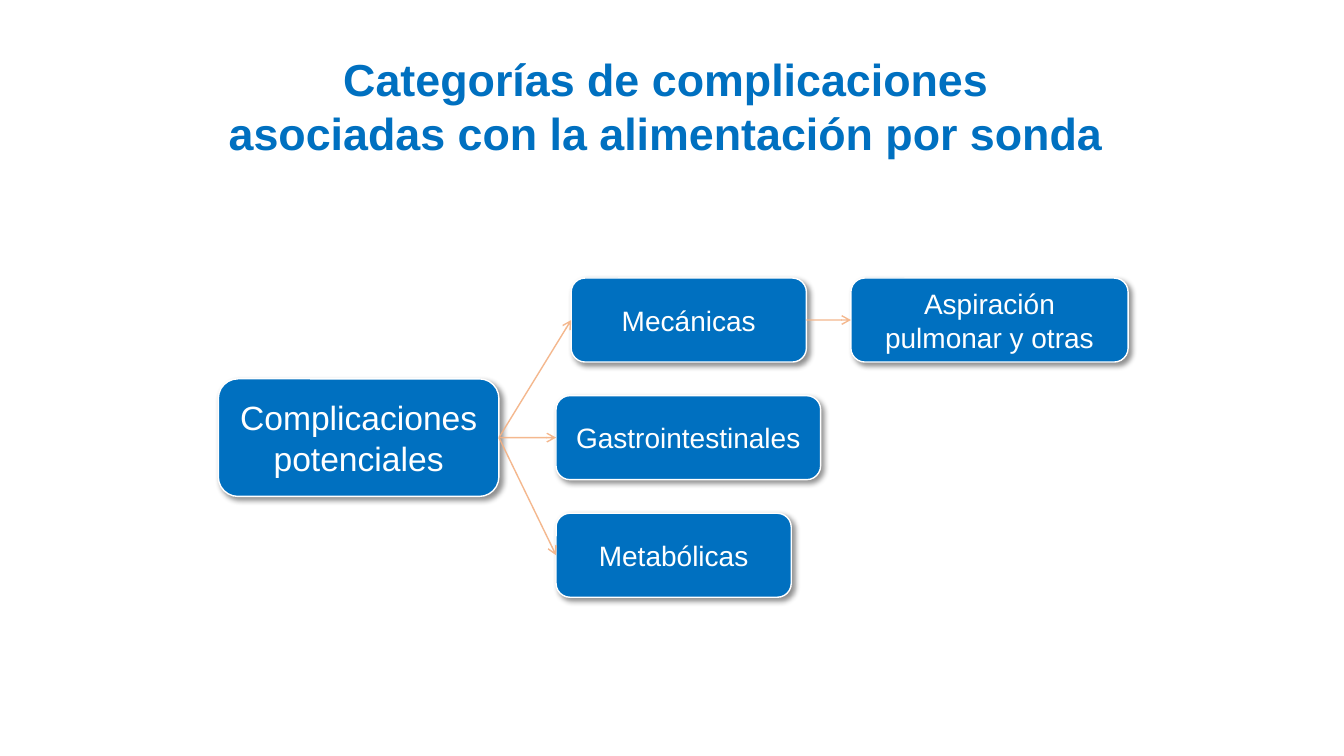
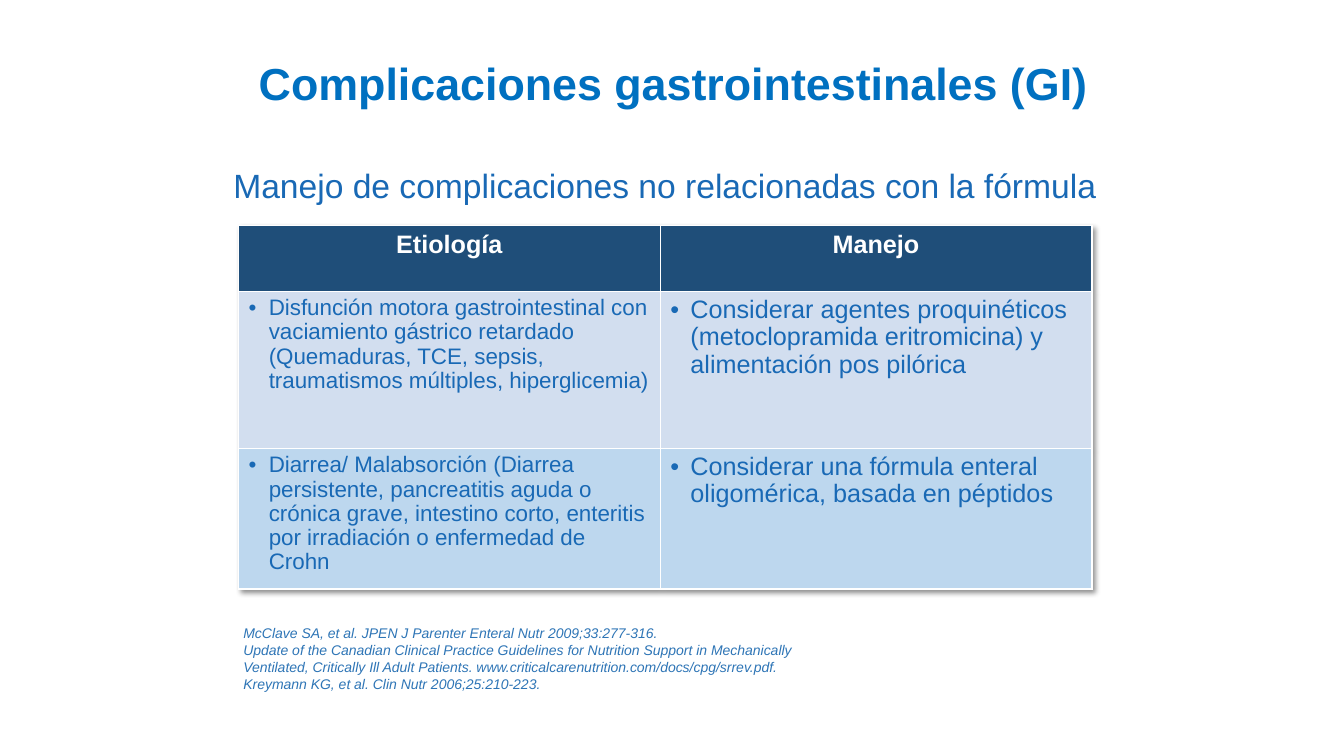
from lxml import etree
from pptx import Presentation
from pptx.dml.color import RGBColor
from pptx.enum.shapes import MSO_CONNECTOR, MSO_SHAPE
from pptx.enum.text import MSO_ANCHOR, PP_ALIGN
from pptx.oxml.ns import qn
from pptx.util import Inches, Pt

LEFT, CENTER = PP_ALIGN.LEFT, PP_ALIGN.CENTER
TOP, MIDDLE = MSO_ANCHOR.TOP, MSO_ANCHOR.MIDDLE
STRAIGHT, ROUNDED = MSO_CONNECTOR.STRAIGHT, MSO_SHAPE.ROUNDED_RECTANGLE
LEFT_SIDE, RIGHT_SIDE = 1, 3

FONT = "Arial"
WHITE, BLUE, TEXT_BLUE = "FFFFFF", "0070C0", "1969B5"
HEADER_FILL, ROW_FILLS = "1F4E79", ("D2DEEF", "BDD7EE")
ARROW_COLOR = "F4B183"
TITLE = {"size": 32, "bold": True, "color": BLUE}
SUBTITLE = {"size": 24, "color": TEXT_BLUE}
REFERENCE = {"size": 10, "italic": True, "color": "2E75B6"}
HEADER = {"size": 18, "bold": True, "color": WHITE}
CAUSE = {"size": 16, "bold": False, "color": TEXT_BLUE}
CARE = {"size": 18, "bold": False, "color": TEXT_BLUE}
MAIN_BOX = {"size": 24, "color": WHITE}
BRANCH_BOX = {"size": 20, "color": WHITE}

COLUMNS, ROWS = 160, 90
CELL = Inches(7.5) / ROWS
BRANCH_TOP, BRANCH_PITCH, BRANCH_HEIGHT = 33.1, 14, 10

REFERENCES = [
    "McClave SA, et al. JPEN J Parenter Enteral Nutr 2009;33:277-316.",
    "Update of the Canadian Clinical Practice Guidelines for Nutrition Support in Mechanically",
    "Ventilated, Critically Ill Adult Patients. www.criticalcarenutrition.com/docs/cpg/srrev.pdf.",
    "Kreymann KG, et al. Clin Nutr 2006;25:210-223.",
]
MANAGEMENT = [
    ("Etiología", "Manejo"),
    ("Disfunción motora gastrointestinal con vaciamiento gástrico retardado "
     "(Quemaduras, TCE, sepsis, traumatismos múltiples, hiperglicemia)",
     "Considerar agentes proquinéticos (metoclopramida eritromicina) y alimentación pos pilórica"),
    ("Diarrea/ Malabsorción (Diarrea persistente, pancreatitis aguda o crónica grave, "
     "intestino corto, enteritis por irradiación o enfermedad de Crohn",
     "Considerar una fórmula enteral oligomérica, basada en péptidos"),
]


def grid(*cells):
    """Turn grid cells into slide lengths."""
    return [round(cell * CELL) for cell in cells]


def rgb(value):
    """Turn a hex string into a colour."""
    return RGBColor.from_string(value)


def add_element(parent, tag, **attributes):
    """Append a DrawingML element and return it."""
    return etree.SubElement(parent, qn(f"a:{tag}"), attributes)


def add_shadow(parent):
    """Append the soft lower-right shadow to a properties element."""
    effects = add_element(parent, "effectLst")
    shadow = add_element(effects, "outerShdw", blurRad=str(Pt(4)), dist=str(Pt(3)),
                         dir="2700000", algn="tl", rotWithShape="0")
    color = add_element(shadow, "srgbClr", val="000000")
    add_element(color, "alpha", val="43000")
    return effects


def write_paragraph(para, text, style, align=LEFT):
    """Write one paragraph, turning newlines into line breaks."""
    para.alignment = align
    for number, line in enumerate(text.split("\n")):
        if number:
            para.add_line_break()
        span = para.add_run()
        span.text = line
        span.font.name = FONT
        span.font.color.rgb = rgb(style["color"])
        formats = {**style, "size": Pt(style["size"])}
        del formats["color"]
        for name, value in formats.items():
            setattr(span.font, name, value)


def add_text(page, area, texts, style, align=LEFT, anchor=TOP, spacing=None):
    """Add a wrapped text box with one paragraph per text."""
    frame = page.shapes.add_textbox(*grid(*area)).text_frame
    frame.word_wrap = True
    frame.vertical_anchor = anchor
    for number, text in enumerate(texts):
        para = frame.add_paragraph() if number else frame.paragraphs[0]
        para.line_spacing = spacing
        write_paragraph(para, text, style, align)


def add_title(page, area, text, spacing=None):
    """Add a slide title."""
    add_text(page, area, [text], TITLE, CENTER, MIDDLE, spacing)


def add_box(page, area, text, style):
    """Add a rounded diagram box with a shadow."""
    box = page.shapes.add_shape(ROUNDED, *grid(*area))
    box.fill.solid()
    box.fill.fore_color.rgb = rgb(BLUE)
    box.line.color.rgb = rgb(WHITE)
    box.line.width = Pt(1)
    add_shadow(box._element.spPr)
    frame = box.text_frame
    frame.word_wrap = True
    frame.vertical_anchor = MIDDLE
    write_paragraph(frame.paragraphs[0], text, style, CENTER)
    return box


def add_branch(page, left, row, width, text):
    """Add a small box on one of the branch rows."""
    top = BRANCH_TOP + row * BRANCH_PITCH
    return add_box(page, (left, top, width, BRANCH_HEIGHT), text, BRANCH_BOX)


def add_arrow(page, start, end):
    """Join the right side of one box to the left side of another."""
    arrow = page.shapes.add_connector(STRAIGHT, 0, 0, 0, 0)
    arrow.begin_connect(start, RIGHT_SIDE)
    arrow.end_connect(end, LEFT_SIDE)
    arrow.line.color.rgb = rgb(ARROW_COLOR)
    arrow.line.width = Pt(1)
    line = arrow.line._get_or_add_ln()
    add_element(line.find(f".//{qn('a:srgbClr')}"), "alpha", val="91000")
    add_element(line, "tailEnd", type="arrow")
    add_element(arrow._element.spPr, "effectLst")


def add_borders(cell):
    """Draw white borders round a table cell."""
    properties = cell._tc.get_or_add_tcPr()
    for position, side in enumerate(("lnL", "lnR", "lnT", "lnB")):
        line = add_element(properties, side, w=str(Pt(1)))
        fill = add_element(line, "solidFill")
        add_element(fill, "srgbClr", val=WHITE)
        properties.insert(position, line)


def add_bullet(para):
    """Give a paragraph a hanging bullet."""
    properties = para._p.get_or_add_pPr()
    properties.set("marL", str(Inches(0.2)))
    properties.set("indent", str(-Inches(0.2)))
    add_element(properties, "buFont", typeface=FONT)
    add_element(properties, "buChar", char="•")


def add_management_table(page, left, top, widths, heights):
    """Add the table of causes and their management."""
    area = grid(left, top, sum(widths), sum(heights))
    table = page.shapes.add_table(len(heights), len(widths), *area).table
    table_properties = table._tbl.tblPr
    table_properties.insert(0, add_shadow(table_properties))
    for column, width in zip(table.columns, grid(*widths)):
        column.width = width
    for row, height in zip(table.rows, grid(*heights)):
        row.height = height
    for row, texts in enumerate(MANAGEMENT):
        for column, text in enumerate(texts):
            cell = table.cell(row, column)
            cell.fill.solid()
            cell.fill.fore_color.rgb = rgb(ROW_FILLS[row - 1] if row else HEADER_FILL)
            add_borders(cell)
            para = cell.text_frame.paragraphs[0]
            if row:
                para.line_spacing = 0.97
                add_bullet(para)
                write_paragraph(para, text, (CAUSE, CARE)[column])
            else:
                write_paragraph(para, text, HEADER, CENTER)


def build_categories(page):
    """Build the diagram of complication categories."""
    add_title(page, (25.8, 6.1, 107, 13),
              "Categorías de complicaciones\nasociadas con la alimentación por sonda")
    main_box = add_box(page, (26, 45.1, 33.4, 14), "Complicaciones\npotenciales", MAIN_BOX)
    mechanical = add_branch(page, 68, 0, 28, "Mecánicas")
    digestive = add_branch(page, 66.2, 1, 31.5, "Gastrointestinales")
    metabolic = add_branch(page, 66.2, 2, 28, "Metabólicas")
    aspiration = add_branch(page, 101.3, 0, 33, "Aspiración pulmonar y otras")
    for branch in (mechanical, digestive, metabolic):
        add_arrow(page, main_box, branch)
    add_arrow(page, mechanical, aspiration)


def build_management(page):
    """Build the slide on gastrointestinal complications."""
    add_title(page, (28.4, 1.8, 103.6, 17), "Complicaciones gastrointestinales (GI)", 0.9)
    add_text(page, (26.6, 19.1, 107, 6),
             ["Manejo de complicaciones no relacionadas con la fórmula"], SUBTITLE)
    add_management_table(page, 28.4, 26.8, (50.2, 51.4), (7.9, 18.7, 16.2))
    add_text(page, (27.8, 73.8, 104.6, 13.3), REFERENCES, REFERENCE)


def main():
    """Build and save the deck."""
    deck = Presentation()
    deck.slide_width, deck.slide_height = grid(COLUMNS, ROWS)
    blank = deck.slide_layouts[6]
    for build in (build_categories, build_management):
        build(deck.slides.add_slide(blank))
    deck.save("out.pptx")


if __name__ == "__main__":
    main()
